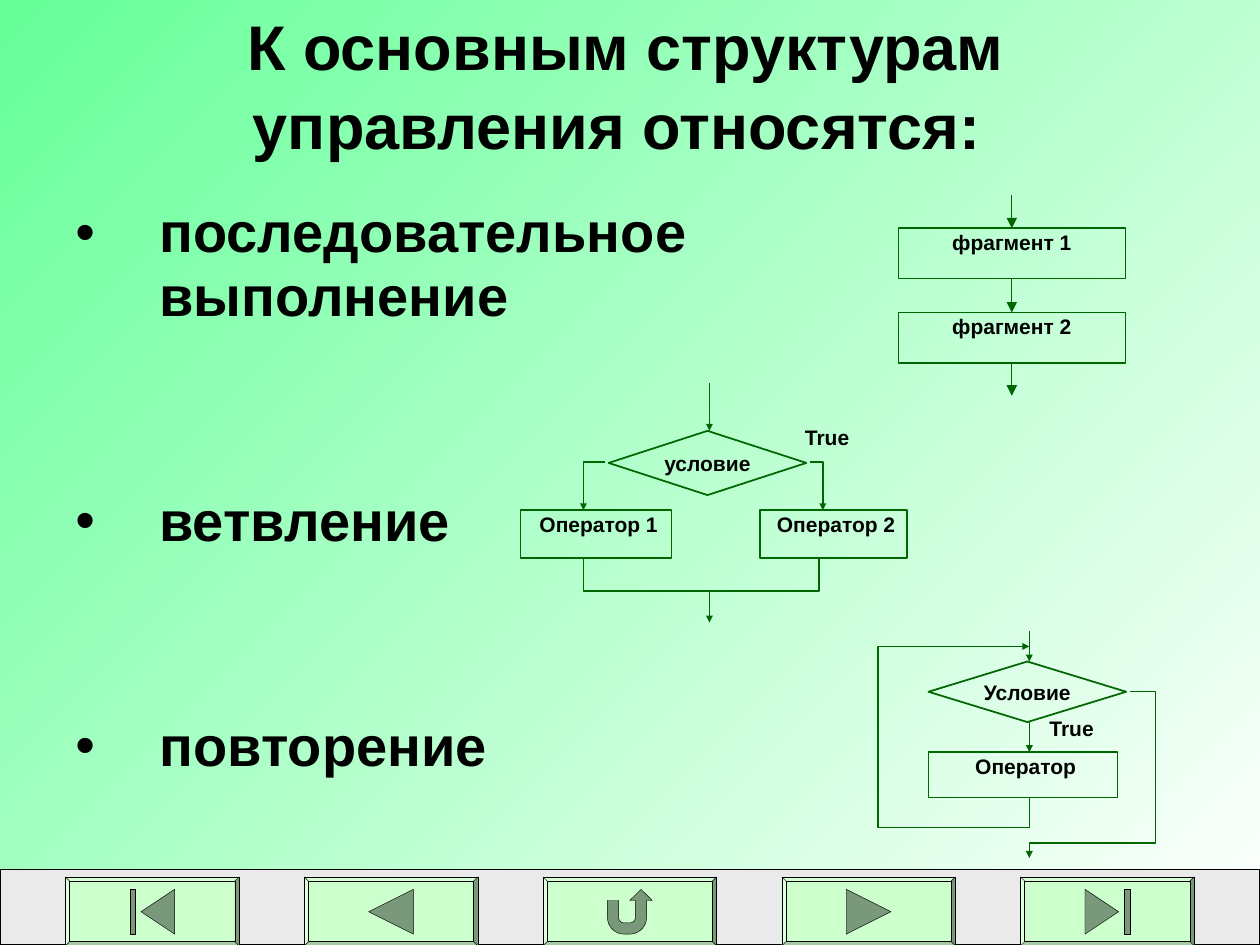
"""Slide on the basic control structures, with three flowcharts and a navigation bar."""
from dataclasses import dataclass
from math import cos, radians, sin

from lxml.etree import SubElement
from pptx import Presentation
from pptx.dml.color import RGBColor
from pptx.enum.shapes import MSO_CONNECTOR as Link, MSO_SHAPE as Preset
from pptx.enum.text import MSO_ANCHOR as Anchor, PP_ALIGN as Align
from pptx.oxml.ns import qn
from pptx.util import Pt

BLACK = RGBColor(0x00, 0x00, 0x00)
WHITE = RGBColor(0xFF, 0xFF, 0xFF)
MINT = RGBColor(0x66, 0xFF, 0x99)
DARK_GREEN = RGBColor(0x00, 0x66, 0x00)
PALE_GREEN = RGBColor(0xCC, 0xFF, 0xCC)
ICON_GREEN = RGBColor(0x7A, 0x99, 0x7A)
BAR_GRAY = RGBColor(0xEA, 0xEA, 0xEA)
TOP, BOTTOM = 0, 2

Point = tuple[float, float]


@dataclass(frozen=True)
class Block:
    text: str
    left: float
    top: float
    width: float
    height: float
    preset: Preset = Preset.RECTANGLE
    weight: float = 0.75
    lead: str = ""


@dataclass(frozen=True)
class Route:
    points: list[Point]
    weight: float = 0.75
    arrow: bool = True


def write_text(frame, text: str, *, size: float, align=Align.LEFT, anchor=Anchor.TOP,
               margins: Point = (7.2, 3.6), spacing: float = 1.0, before: float = 0,
               bullet: bool = False, lead: str = "") -> None:
    """Write one paragraph per line of text and format it."""
    frame.word_wrap = True
    frame.vertical_anchor = anchor
    frame.margin_left = frame.margin_right = Pt(margins[0])
    frame.margin_top = frame.margin_bottom = Pt(margins[1])
    frame.text = text
    for number, paragraph in enumerate(frame.paragraphs):
        paragraph.alignment = align
        paragraph.line_spacing = spacing
        paragraph.space_before = Pt(before if number else 0)
        for run in paragraph.runs:
            run.font.name, run.font.size, run.font.bold = "Arial", Pt(size), True
            run.font.color.rgb = BLACK
        if lead:
            gap = paragraph.add_run()
            gap.text, gap.font.name, gap.font.size = lead, "Times New Roman", Pt(size)
            paragraph.runs[0]._r.addprevious(gap._r)
        if bullet:
            props = paragraph._p.get_or_add_pPr()
            props.set("marL", str(Pt(48)))
            props.set("indent", str(-Pt(48)))
            SubElement(props, qn("a:buFont"), typeface="Arial")
            SubElement(props, qn("a:buChar"), char="•")


def paint(shape, fill: RGBColor | None, line: RGBColor, weight: float) -> None:
    """Set fill and outline and drop the shadow."""
    shape.shadow.inherit = False
    if fill is None:
        shape.fill.background()
    else:
        shape.fill.solid()
        shape.fill.fore_color.rgb = fill
    shape.line.color.rgb = line
    shape.line.width = Pt(weight)


def add_arrowhead(line, size: str) -> None:
    """Put a triangle at the end of a line."""
    SubElement(line._get_or_add_ln(), qn("a:tailEnd"), type="triangle", w=size, len=size)


def draw_block(slide, block: Block):
    """Draw a labelled flowchart block."""
    shape = slide.shapes.add_shape(block.preset, Pt(block.left), Pt(block.top),
                                   Pt(block.width), Pt(block.height))
    paint(shape, None, DARK_GREEN, block.weight)
    is_box = block.preset == Preset.RECTANGLE
    write_text(shape.text_frame, block.text, size=12, align=Align.CENTER, lead=block.lead,
               anchor=Anchor.TOP if is_box else Anchor.MIDDLE, margins=(0.72, 0.72))
    return shape


def draw_arrow(slide, x: float, start: float, end: float, source=None, target=None,
               size: str = "sm") -> None:
    """Draw a downward arrow, joined to the given blocks."""
    arrow = slide.shapes.add_connector(Link.STRAIGHT, Pt(x), Pt(start), Pt(x), Pt(end))
    arrow.line.color.rgb = DARK_GREEN
    arrow.line.width = Pt(0.75)
    add_arrowhead(arrow.line, size)
    SubElement(arrow._element.spPr, qn("a:effectLst"))
    if source is not None:
        arrow.begin_connect(source, BOTTOM)
    if target is not None:
        arrow.end_connect(target, TOP)


def draw_outline(slide, points: list[Point], close: bool):
    """Draw a path through points."""
    (x, y), *rest = [(Pt(px), Pt(py)) for px, py in points]
    builder = slide.shapes.build_freeform(x, y)
    builder.add_line_segments(rest, close=close)
    return builder.convert_to_shape()


def draw_route(slide, route: Route) -> None:
    """Draw an angled flow line."""
    line = draw_outline(slide, route.points, close=False)
    paint(line, None, DARK_GREEN, route.weight)
    if route.arrow:
        add_arrowhead(line.line, "sm")


def draw_caption(slide, text: str, left: float, top: float, width: float, height: float,
                 **text_format) -> None:
    """Draw free text."""
    box = slide.shapes.add_textbox(Pt(left), Pt(top), Pt(width), Pt(height))
    write_text(box.text_frame, text, **text_format)


def arc(x: float, y: float, radius: float, first: int, last: int) -> list[Point]:
    """Return points on an arc between two angles in degrees."""
    step = 10 if last > first else -10
    return [(x + radius * cos(radians(a)), y + radius * sin(radians(a)))
            for a in range(first, last + step, step)]


def mirror(icon: list[list[Point]]) -> list[list[Point]]:
    """Flip an icon from left to right."""
    return [[(-x, y) for x, y in part] for part in icon]


def draw_navigation(slide) -> None:
    """Draw the bottom bar with five buttons; icons lie on a grid of 3.2 pt."""
    bar = slide.shapes.add_shape(Preset.RECTANGLE, 0, Pt(496.8), Pt(720), Pt(43.2))
    paint(bar, BAR_GRAY, BLACK, 0.75)
    to_first = [[(-2, 0), (4, -4), (4, 4)], [(-4, -4), (-3, -4), (-3, 4), (-4, 4)]]
    to_previous = [[(-4, 0), (4, -4), (4, 4)]]
    to_return = [[(-4, -2), (-2, -2), *arc(-1, 1, 1, 180, 90), *arc(0, 1, 1, 90, 0),
                  (1, -2), (0, -2), (2, -4), (4, -2), (3, -2),
                  *arc(0, 1, 3, 0, 90), *arc(-1, 1, 3, 90, 180)]]
    icons = [to_first, to_previous, to_return, mirror(to_previous), mirror(to_first)]
    width, grid, middle = 99.2, 3.2, 521
    for number, icon in enumerate(icons):
        left = 37.4 + 136.45 * number
        button = slide.shapes.add_shape(Preset.BEVEL, Pt(left), Pt(501.1), Pt(width), Pt(39.4))
        button.adjustments[0] = 0.06
        paint(button, PALE_GREEN, BLACK, 0.25)
        for part in icon:
            points = [(left + width / 2 + x * grid, middle + y * grid) for x, y in part]
            paint(draw_outline(slide, points, close=True), ICON_GREEN, BLACK, 0.25)


def draw_sequence(slide) -> None:
    """Draw the flowchart of sequential execution."""
    first = draw_block(slide, Block("фрагмент 1", 513.4, 130.4, 129.6, 28.8))
    second = draw_block(slide, Block("фрагмент 2", 513.4, 178.6, 129.6, 28.8))
    draw_arrow(slide, 578.2, 111.6, 130.4, target=first, size="med")
    draw_arrow(slide, 578.2, 159.2, 178.6, first, second, size="med")
    draw_arrow(slide, 578.2, 207.4, 226.1, source=second, size="med")


def draw_branch(slide) -> None:
    """Draw the flowchart of branching."""
    for block in (Block("условие", 347.8, 246.2, 113, 36.7, Preset.FLOWCHART_DECISION, 1),
                  Block("Оператор 1", 297.4, 291.6, 86.4, 27.4, weight=1, lead=" "),
                  Block("Оператор 2", 434.2, 291.6, 84.2, 27.4, weight=1, lead=" ")):
        draw_block(slide, block)
    for route in (Route([(463, 264.2), (470.2, 264.2), (470.2, 291.6)], 1),
                  Route([(345.6, 264.2), (333.4, 264.2), (333.4, 291.6)], 1),
                  Route([(333.4, 319), (333.4, 337.7), (468, 337.7), (468, 319)], 1, False)):
        draw_route(slide, route)
    draw_arrow(slide, 405.4, 218.9, 246.2)
    draw_arrow(slide, 405.4, 337.7, 355.7)
    draw_caption(slide, "True", 452.9, 239, 43.2, 29.5, size=12)


def draw_loop(slide) -> None:
    """Draw the flowchart of repetition."""
    draw_block(slide, Block("Условие", 530.6, 378, 113, 34.6, Preset.FLOWCHART_DECISION, 1))
    draw_block(slide, Block("Оператор", 530.6, 429.8, 108, 25.9, lead=" "))
    draw_arrow(slide, 588.2, 360.7, 378)
    draw_arrow(slide, 588.2, 412.6, 429.8)
    draw_route(slide, Route([(588.2, 455.8), (588.2, 473), (501.8, 473),
                             (501.8, 369.4), (588.2, 369.4)]))
    draw_route(slide, Route([(645.8, 395.3), (660.2, 395.3), (660.2, 481.7),
                             (588.2, 481.7), (588.2, 490.3)]))
    draw_caption(slide, "True", 592.6, 405.4, 43.2, 25.9, size=12)


def main() -> None:
    """Build and save the slide."""
    deck = Presentation()
    deck.slide_width, deck.slide_height = Pt(720), Pt(540)
    slide = deck.slides.add_slide(deck.slide_layouts[5])
    backdrop = slide.background.fill
    backdrop.gradient()
    backdrop.gradient_angle = 135
    for stop, color, position in zip(backdrop.gradient_stops, (WHITE, MINT), (0, 1)):
        stop.color.rgb, stop.position = color, position
    title = slide.shapes.title
    title.left, title.top, title.width, title.height = Pt(31), Pt(17.3), Pt(653), Pt(60.5)
    write_text(title.text_frame, "К основным структурам управления относятся: ", size=36,
               align=Align.CENTER, anchor=Anchor.MIDDLE, spacing=1.05)
    draw_navigation(slide)
    draw_caption(slide, "последовательное \vвыполнение\nветвление\nповторение",
                 36, 111.6, 648, 356.4, size=32, spacing=0.95, before=92, bullet=True)
    draw_sequence(slide)
    draw_branch(slide)
    draw_loop(slide)
    deck.save("out.pptx")


if __name__ == "__main__":
    main()
